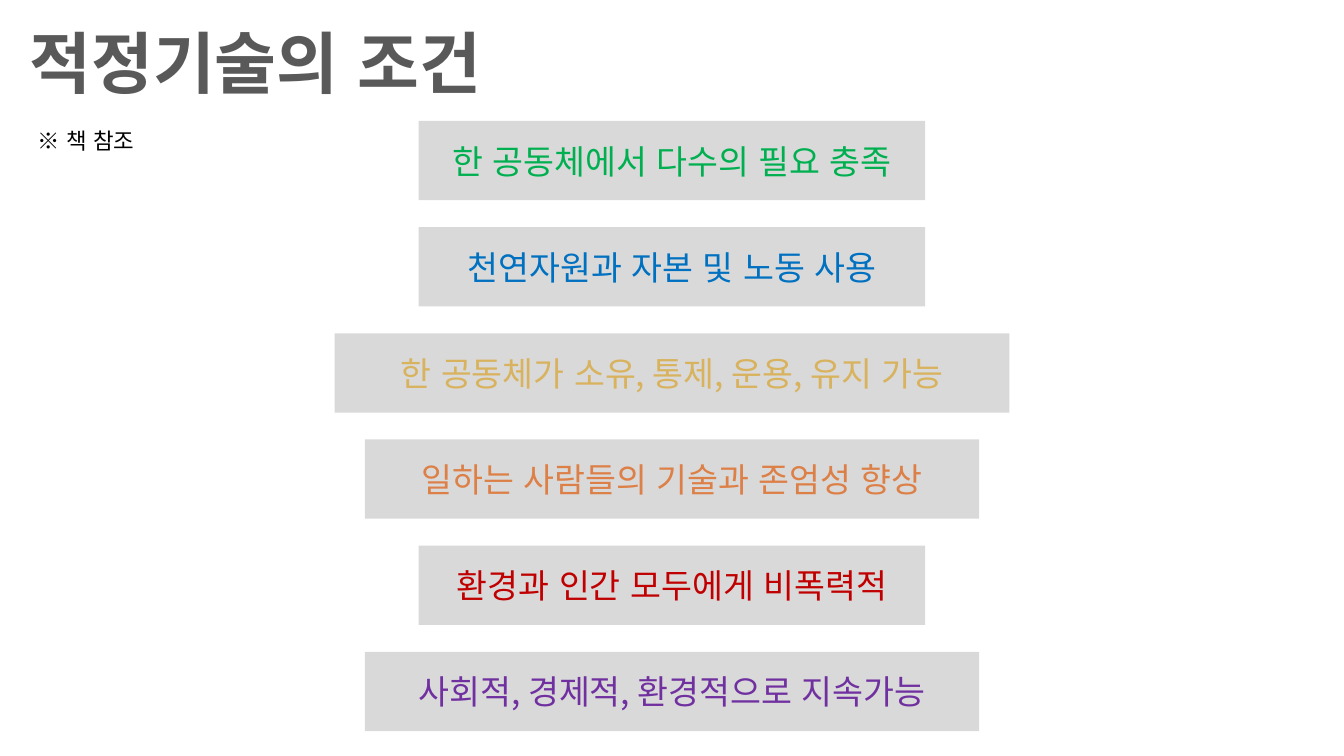
"""Build a slide listing the conditions of appropriate technology."""
import pptx
import pptx.dml.color
import pptx.enum.lang
import pptx.enum.shapes
import pptx.enum.text
import pptx.oxml.ns
import pptx.util
from lxml import etree

Inches = pptx.util.Inches
Color = pptx.dml.color.RGBColor
Align = pptx.enum.text.PP_ALIGN
Anchor = pptx.enum.text.MSO_ANCHOR

FONT = "Noto Sans CJK KR"
BLACK = Color(0x00, 0x00, 0x00)
DARK = Color(0x59, 0x59, 0x59)
GRAY = Color(0xD9, 0xD9, 0xD9)
GREEN = Color(0x00, 0xB0, 0x50)
BLUE = Color(0x00, 0x70, 0xC0)
GOLD = Color(0xD8, 0xB2, 0x5C)
ORANGE = Color(0xDD, 0x80, 0x47)
RED = Color(0xC0, 0x00, 0x00)
PURPLE = Color(0x70, 0x30, 0xA0)

MIDDLE = 5
TOP = 0.9
STEP = 0.79
HEIGHT = 0.59
ITEMS = [
    ("한 공동체에서 다수의 필요 충족", 3.77, GREEN),
    ("천연자원과 자본 및 노동 사용", 3.77, BLUE),
    ("한 공동체가 소유, 통제, 운용, 유지 가능", 5.02, GOLD),
    ("일하는 사람들의 기술과 존엄성 향상", 4.57, ORANGE),
    ("환경과 인간 모두에게 비폭력적", 3.77, RED),
    ("사회적, 경제적, 환경적으로 지속가능", 4.57, PURPLE),
]


def write(frame, text, size, color, bold=False):
    frame.text = text
    for run in frame.paragraphs[0].runs:
        font = run.font
        font.name = FONT
        font.size = pptx.util.Pt(size)
        font.bold = bold
        font.color.rgb = color
        font.language_id = pptx.enum.lang.MSO_LANGUAGE_ID.KOREAN
        props = run._r.get_or_add_rPr()
        etree.SubElement(props, pptx.oxml.ns.qn("a:ea"), typeface=FONT)


def add_label(slide, box, text, size, color, bold=False, wrap=True):
    frame = slide.shapes.add_textbox(*map(Inches, box)).text_frame
    frame.word_wrap = wrap
    frame.margin_left = frame.margin_right = Inches(0.08)
    write(frame, text, size, color, bold)


def add_bar(slide, top, text, width, color):
    bar = slide.shapes.add_shape(
        pptx.enum.shapes.MSO_SHAPE.RECTANGLE,
        Inches(MIDDLE - width / 2), Inches(top), Inches(width), Inches(HEIGHT))
    bar.shadow.inherit = False
    bar.fill.solid()
    bar.fill.fore_color.rgb = GRAY
    bar.line.fill.background()
    frame = bar.text_frame
    frame.vertical_anchor = Anchor.MIDDLE
    write(frame, text, 18, color)
    frame.paragraphs[0].alignment = Align.CENTER


def main():
    deck = pptx.Presentation()
    deck.slide_width = Inches(10)
    deck.slide_height = Inches(10) * 9 // 16
    slide = deck.slides.add_slide(deck.slide_layouts[6])
    add_label(slide, (0, 0.11, 10, 0.85), " 적정기술의 조건", 36, DARK, bold=True)
    for row, (text, width, color) in enumerate(ITEMS):
        add_bar(slide, TOP + row * STEP, text, width, color)
    add_label(slide, (0.2, 0.9, 0.92, 0.3), "※ 책 참조", 12, BLACK, wrap=False)
    deck.save("out.pptx")


if __name__ == "__main__":
    main()
